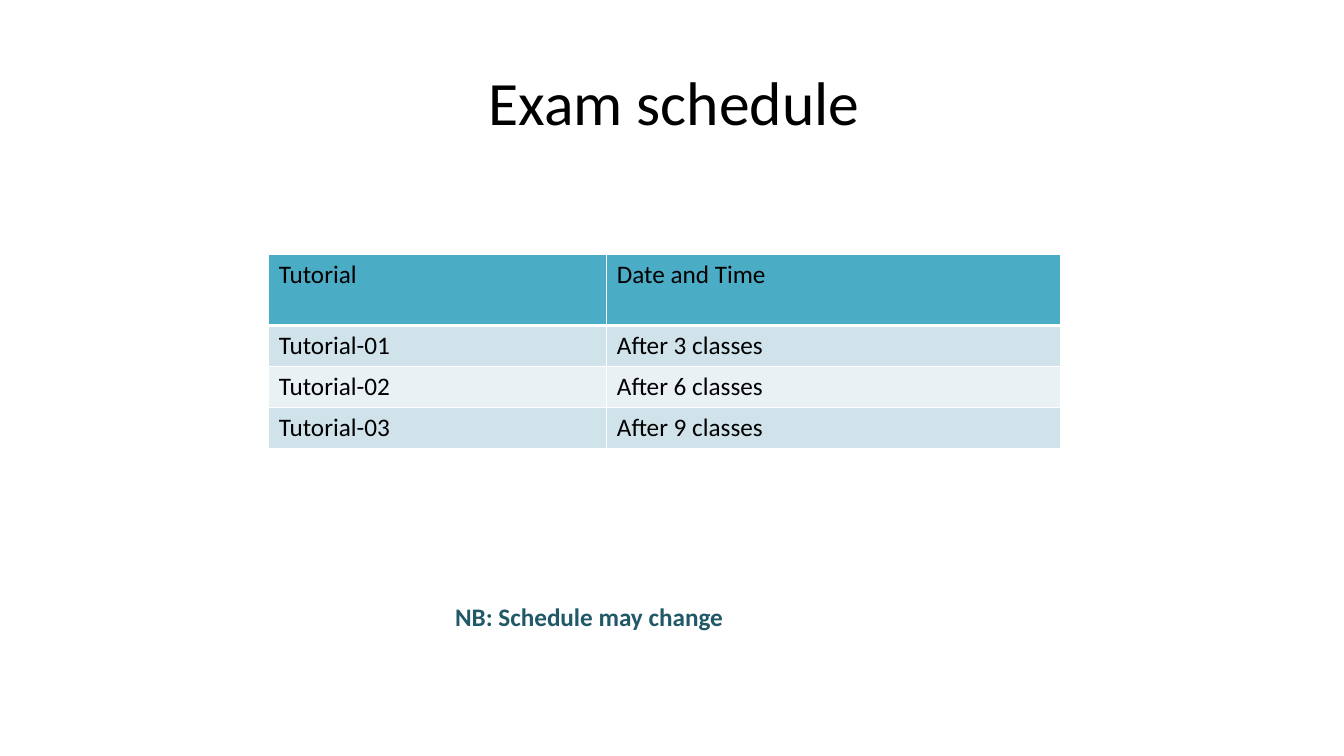
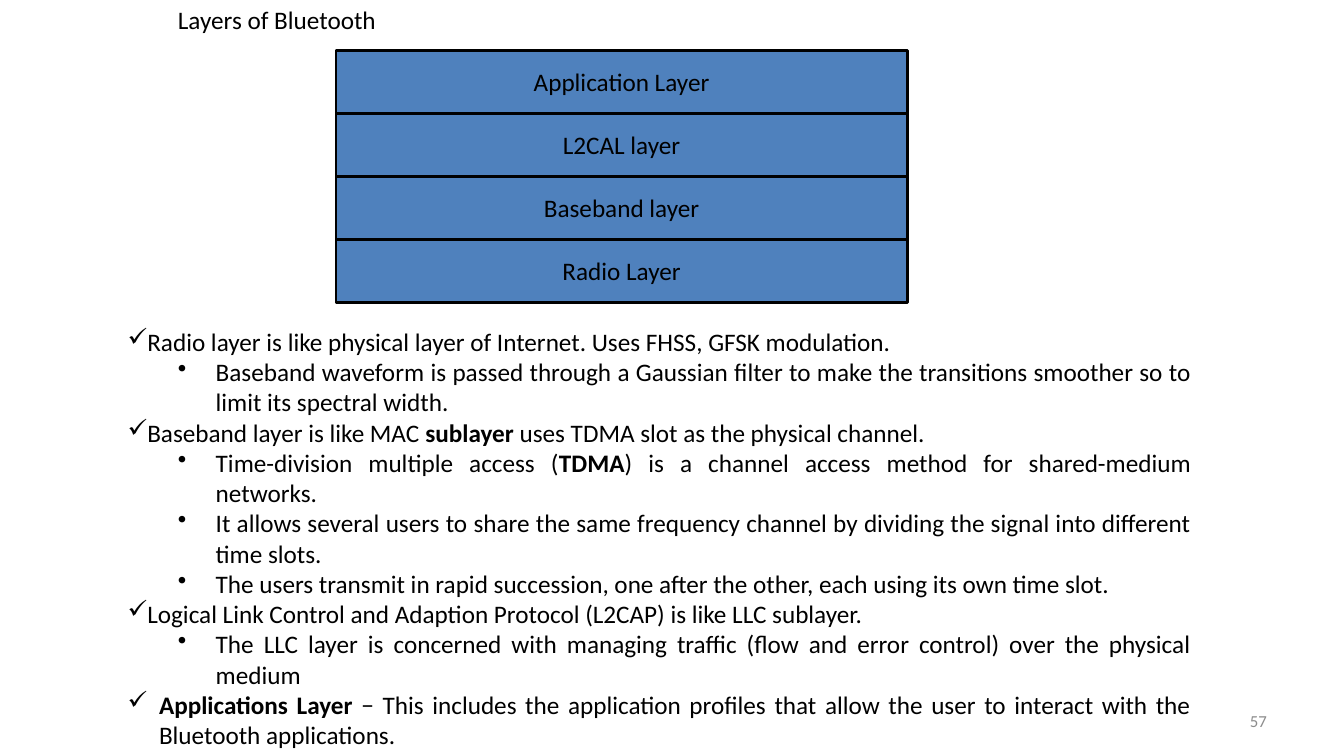
"""Builds two lecture slides: an exam schedule and the Bluetooth layers."""
from dataclasses import dataclass

from lxml.etree import SubElement
from pptx import Presentation
from pptx.dml.color import RGBColor
from pptx.enum.shapes import MSO_SHAPE
from pptx.enum.text import MSO_ANCHOR, PP_ALIGN
from pptx.oxml import parse_xml
from pptx.oxml.ns import nsdecls, qn
from pptx.slide import Slide
from pptx.util import Emu, Pt

EMU_PER_PX = 9525


@dataclass(frozen=True)
class Theme:
    font: str = "Calibri"
    title: int = 44
    body: int = 18
    small: int = 12
    ink: str = "000000"
    paper: str = "FFFFFF"
    note: str = "215968"
    muted: str = "8C8C8C"
    layer: str = "4F81BD"
    head: str = "4BACC6"
    bands: tuple[str, str] = ("D0E3EA", "E9F1F5")


@dataclass(frozen=True)
class Box:
    x: int
    y: int
    w: int
    h: int


@dataclass(frozen=True)
class Level:
    mark: str
    left: int
    indent: int


@dataclass(frozen=True)
class Point:
    text: str
    level: Level


T = Theme()
CHECK = Level("✓", 0, 0)
HANGING = Level("✓", 30, -30)
SUB = Level("•", 84, -36)

SCHEDULE = [
    ("Tutorial", "Date and Time"),
    ("Tutorial-01", "After 3 classes"),
    ("Tutorial-02", "After 6 classes"),
    ("Tutorial-03", "After 9 classes"),
]
LAYERS = ["Application Layer", "L2CAL layer", "Baseband layer", "Radio Layer"]
POINTS = [
    Point("Radio layer is like physical layer of Internet. Uses FHSS, GFSK modulation.", CHECK),
    Point("Baseband waveform is passed through a Gaussian filter to make the transitions "
          "smoother so to limit its spectral width.", SUB),
    Point("Baseband layer is like MAC |sublayer| uses TDMA slot as the physical channel.", CHECK),
    Point("Time-division multiple access (|TDMA|) is a channel access method for "
          "shared-medium networks.", SUB),
    Point("It allows several users to share the same frequency channel by dividing the "
          "signal into different time slots.", SUB),
    Point("The users transmit in rapid succession, one after the other, each using its "
          "own time slot.", SUB),
    Point("Logical Link Control and Adaption Protocol (L2CAP) is like LLC sublayer.", CHECK),
    Point("The LLC layer is concerned with managing traffic (flow and error control) over "
          "the physical medium", SUB),
    Point("|Applications Layer| − This includes the application profiles that allow the user "
          "to interact with the Bluetooth applications.", HANGING),
]


def px(n: int) -> Emu:
    """Turn pixels into EMU."""
    return Emu(n * EMU_PER_PX)


def place(box: Box) -> tuple[Emu, Emu, Emu, Emu]:
    """Give a box as left, top, width and height."""
    return px(box.x), px(box.y), px(box.w), px(box.h)


def style(r, size: int = T.body, color: str = T.ink, bold: bool = False) -> None:
    """Set the font of one run."""
    r.font.name = T.font
    r.font.size = Pt(size)
    r.font.bold = bold
    r.font.color.rgb = RGBColor.from_string(color)


def add_text(s: Slide, box: Box, text: str, size: int = T.body, color: str = T.ink,
             bold: bool = False, align: PP_ALIGN = PP_ALIGN.LEFT,
             anchor: MSO_ANCHOR = MSO_ANCHOR.TOP) -> None:
    """Add a one-line text box."""
    tf = s.shapes.add_textbox(*place(box)).text_frame
    tf.word_wrap = True
    tf.vertical_anchor = anchor
    tf.text = text
    p = tf.paragraphs[0]
    p.alignment = align
    style(p.runs[0], size, color, bold)


def add_borders(cell, bottom: int) -> None:
    """Draw the four borders of a table cell."""
    tc_pr = cell._tc.get_or_add_tcPr()
    widths = {"lnL": 1, "lnR": 1, "lnT": 1, "lnB": bottom}
    for i, (tag, width) in enumerate(widths.items()):
        tc_pr.insert(i, parse_xml(
            f'<a:{tag} {nsdecls("a")} w="{Pt(width)}"><a:solidFill>'
            f'<a:srgbClr val="{T.paper}"/></a:solidFill></a:{tag}>'))


def add_schedule(s: Slide, x: int, y: int, widths: list[int], heights: list[int]) -> None:
    """Add the table of exam dates."""
    box = Box(x, y, sum(widths), sum(heights))
    table = s.shapes.add_table(len(heights), len(widths), *place(box)).table
    table.first_row = table.horz_banding = False
    for col, width in zip(table.columns, widths):
        col.width = px(width)
    for i, (row, height) in enumerate(zip(table.rows, heights)):
        row.height = px(height)
        fill = T.bands[(i - 1) % 2] if i else T.head
        for cell, text in zip(row.cells, SCHEDULE[i]):
            cell.text = text
            style(cell.text_frame.paragraphs[0].runs[0])
            cell.fill.solid()
            cell.fill.fore_color.rgb = RGBColor.from_string(fill)
            add_borders(cell, 1 if i else 3)


def add_layers(s: Slide, top: Box) -> None:
    """Add the stack of layers as one group, lowest layer first."""
    group = s.shapes.add_group_shape()
    for i, name in reversed(list(enumerate(LAYERS))):
        box = Box(top.x, top.y + i * top.h, top.w, top.h)
        sp = group.shapes.add_shape(MSO_SHAPE.RECTANGLE, *place(box))
        sp.shadow.inherit = False
        sp.fill.solid()
        sp.fill.fore_color.rgb = RGBColor.from_string(T.layer)
        sp.line.color.rgb = RGBColor.from_string(T.ink)
        sp.line.width = Pt(2)
        tf = sp.text_frame
        tf.text = name
        tf.vertical_anchor = MSO_ANCHOR.MIDDLE
        p = tf.paragraphs[0]
        p.alignment = PP_ALIGN.CENTER
        style(p.runs[0])


def add_points(s: Slide, box: Box) -> None:
    """Add the bulleted notes, with text between bars in bold."""
    tf = s.shapes.add_textbox(*place(box)).text_frame
    tf.word_wrap = True
    for i, point in enumerate(POINTS):
        p = tf.add_paragraph() if i else tf.paragraphs[0]
        p.alignment = PP_ALIGN.JUSTIFY
        p.level = int(point.level is SUB)
        p_pr = p._p.get_or_add_pPr()
        p_pr.set("marL", str(px(point.level.left)))
        p_pr.set("indent", str(px(point.level.indent)))
        SubElement(p_pr, qn("a:buChar")).set("char", point.level.mark)
        for j, part in enumerate(point.text.split("|")):
            if part:
                r = p.add_run()
                r.text = part
                style(r, bold=j % 2 == 1)


def main() -> None:
    """Build and save the slides."""
    prs = Presentation()
    prs.slide_width, prs.slide_height = px(1280), px(720)
    blank = prs.slide_layouts[6]

    s = prs.slides.add_slide(blank)
    add_text(s, Box(256, 56, 772, 120), "Exam schedule", T.title, align=PP_ALIGN.CENTER)
    add_schedule(s, 256, 242, [322, 432], [68, 39, 39, 39])
    add_text(s, Box(424, 568, 504, 38), "NB: Schedule may change", color=T.note, bold=True)

    s = prs.slides.add_slide(blank)
    add_text(s, Box(918, 667, 298, 38), "57", T.small, T.muted,
             align=PP_ALIGN.RIGHT, anchor=MSO_ANCHOR.MIDDLE)
    add_layers(s, Box(320, 48, 544, 60))
    add_text(s, Box(160, -1, 312, 38), "Layers of Bluetooth")
    add_points(s, Box(112, 306, 1032, 445))

    prs.save("out.pptx")


if __name__ == "__main__":
    main()
